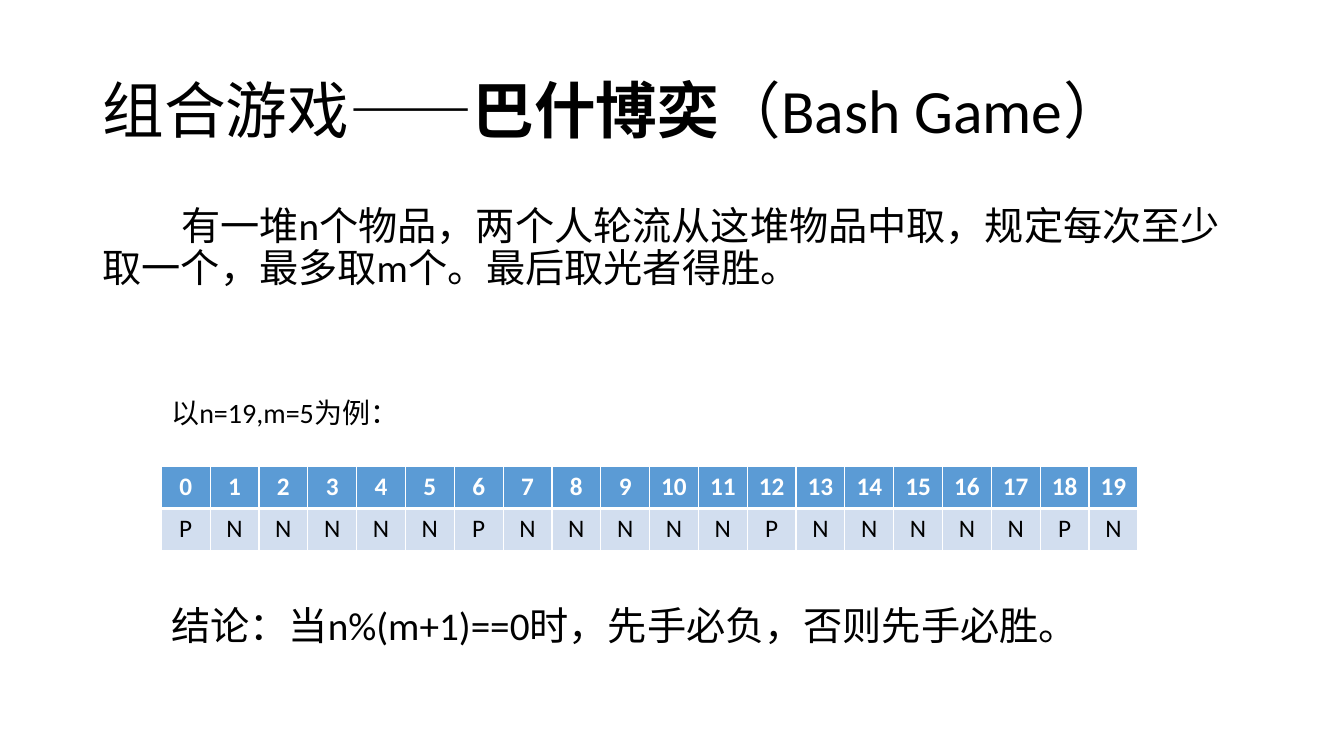
from lxml import etree
from pptx import Presentation
from pptx.dml.color import RGBColor
from pptx.enum.text import MSO_ANCHOR, PP_ALIGN
from pptx.oxml.ns import qn
from pptx.util import Inches, Pt

MID, TOP = MSO_ANCHOR.MIDDLE, MSO_ANCHOR.TOP
CENTER = PP_ALIGN.CENTER

# Content: each text is a list of (words, bold) runs
TITLE = [("组合游戏——", False), ("巴什博奕", True), ("（Bash Game）", False)]
RULES = [("有一堆n个物品，两个人轮流从这堆物品中取，规定每次至少取一个，"
          "最多取m个。最后取光者得胜。", False)]
CASE = [("以n=19,m=5为例：", False)]
RESULT = [("结论：当n%(m+1)==0时，先手必负，否则先手必胜。", False)]
COUNT, MOST = 19, 5

THEME = {
    "font": "Calibri", "ink": "000000", "white": "FFFFFF",
    "head": "5B9BD5", "band": "D2DEEF",
    "title": 44, "body": 28, "case": 20, "cell": 18,
}

# Places: left, top, width, height; then size, anchor, paragraph format, indent
TIGHT = {"line_spacing": 0.9}
TEXTS = [
    (TITLE, (0.92, 0.4, 11.5, 1.45), "title", MID, TIGHT, 0),
    (RULES, (0.92, 2, 11.5, 4.76), "body", TOP,
     {**TIGHT, "space_before": Pt(10)}, 0.78),
    (CASE, (1.6, 3.87, 7.73, 0.44), "case", TOP, {}, 0),
    (RESULT, (1.6, 5.92, 10.6, 0.57), "body", TOP, {}, 0),
]
GRID = (1.6, 4.63, 9.69, 0.83)


def style(item, values):
    for name, value in values.items():
        setattr(item, name, value)


def add_run(para, words, size, color, bold):
    run = para.add_run()
    run.text = words
    style(run.font, {"name": THEME["font"], "size": Pt(THEME[size]), "bold": bold})
    run.font.color.rgb = RGBColor.from_string(THEME[color])


def add_text(slide, runs, place, size, anchor, form, indent):
    frame = slide.shapes.add_textbox(*map(Inches, place)).text_frame
    style(frame, {"word_wrap": True, "vertical_anchor": anchor})
    para = frame.paragraphs[0]
    style(para, form)
    if indent:
        para._p.get_or_add_pPr().set("indent", str(Inches(indent)))
    for words, bold in runs:
        add_run(para, words, size, "ink", bold)


def add_edges(cell, base):
    props = cell._tc.get_or_add_tcPr()
    for spot, (side, width) in enumerate(
            [("lnL", 1), ("lnR", 1), ("lnT", 1), ("lnB", base)]):
        line = etree.Element(qn("a:" + side), w=str(Pt(width)))
        fill = etree.SubElement(line, qn("a:solidFill"))
        etree.SubElement(fill, qn("a:srgbClr"), val=THEME["white"])
        props.insert(spot, line)


def add_grid(slide):
    piles = range(COUNT + 1)
    # A pile is lost for the first player when m + 1 divides it
    states = ["N" if pile % (MOST + 1) else "P" for pile in piles]
    # Row: words, fill, text colour, bold, bottom edge
    rows = [(map(str, piles), "head", "white", True, 3),
            (states, "band", "ink", False, 1)]
    left, top, width, height = map(Inches, GRID)
    table = slide.shapes.add_table(
        len(rows), len(piles), left, top, width, height).table
    for col in table.columns:
        col.width = width // len(piles)
    for r, (words, fill, color, bold, base) in enumerate(rows):
        for c, word in enumerate(words):
            cell = table.cell(r, c)
            cell.fill.solid()
            cell.fill.fore_color.rgb = RGBColor.from_string(THEME[fill])
            add_edges(cell, base)
            para = cell.text_frame.paragraphs[0]
            para.alignment = CENTER
            add_run(para, word, "cell", color, bold)


# Build the slide
deck = Presentation()
style(deck, {"slide_width": Inches(13.33), "slide_height": Inches(7.5)})
slide = deck.slides.add_slide(deck.slide_layouts[6])
for text in TEXTS:
    add_text(slide, *text)
add_grid(slide)
deck.save("out.pptx")
